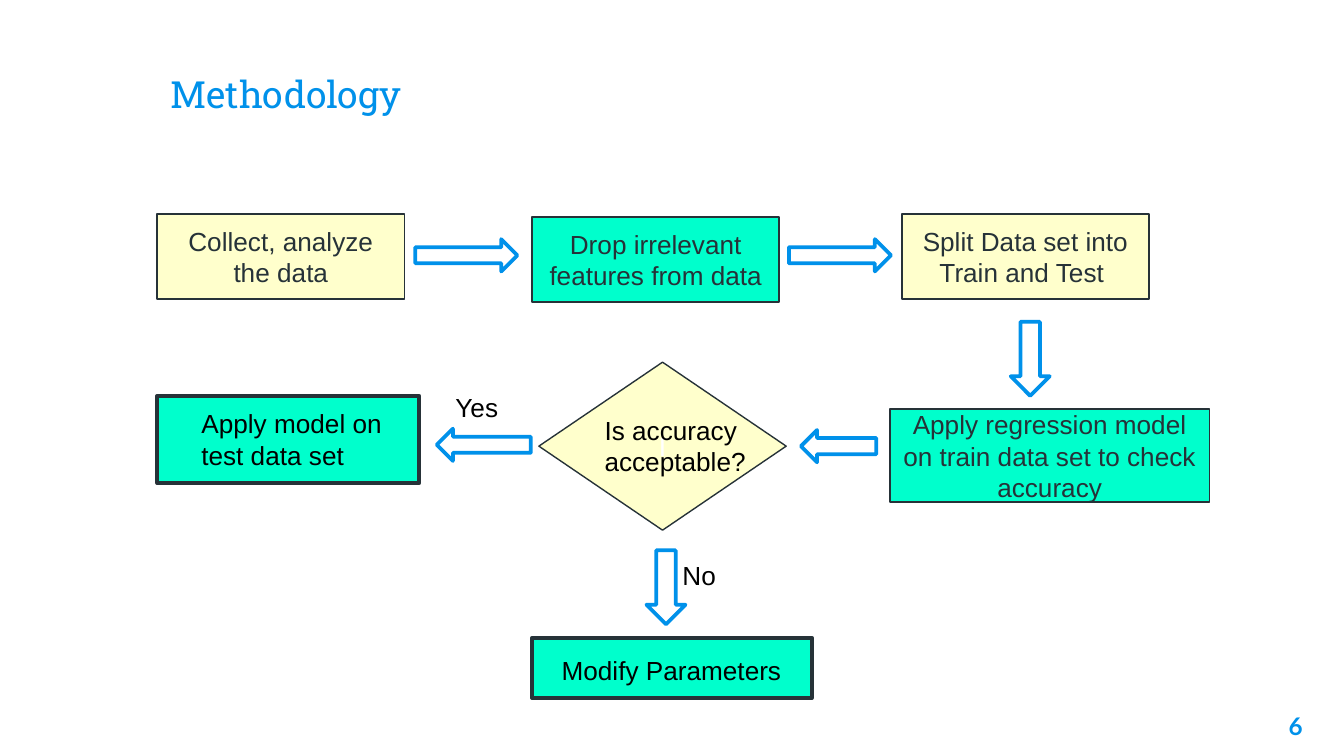
from lxml import etree
from pptx import Presentation
from pptx.dml.color import RGBColor
from pptx.enum.shapes import MSO_SHAPE
from pptx.enum.text import MSO_ANCHOR, PP_ALIGN
from pptx.oxml.ns import qn
from pptx.util import Inches, Pt

RECTANGLE, DIAMOND = MSO_SHAPE.RECTANGLE, MSO_SHAPE.DIAMOND
RIGHT, LEFT, DOWN = MSO_SHAPE.RIGHT_ARROW, MSO_SHAPE.LEFT_ARROW, MSO_SHAPE.DOWN_ARROW
TOP, MIDDLE, BOTTOM = MSO_ANCHOR.TOP, MSO_ANCHOR.MIDDLE, MSO_ANCHOR.BOTTOM
ALIGN_LEFT, ALIGN_CENTER, ALIGN_RIGHT = PP_ALIGN.LEFT, PP_ALIGN.CENTER, PP_ALIGN.RIGHT

BLUE, DARK, BLACK, WHITE = "0091EA", "263238", "000000", "FFFFFF"
CREAM, MINT = "FFFFCC", "00FFCC"

# Left edges of columns and centre lines of rows, in inches.
COLUMNS = [1.17, 3.96, 6.62]
ROWS = {"title": 0.59, "prepare": 1.91, "to model": 2.67, "yes": 3.03, "model": 3.32,
        "no": 4.28, "to tune": 4.37, "tune": 4.97, "footer": 5.41}

# Each place is column, row, shift right, shift down, width, height.
STEPS = [
    ("Collect, analyze the data", RECTANGLE, CREAM, DARK, 1, (0, "prepare", 0, 0, 1.84, 0.63)),
    ("Split Data set into Train and Test ", RECTANGLE, CREAM, DARK, 1,
     (2, "prepare", 0.09, 0, 1.84, 0.63)),
    ("Drop irrelevant features from data", RECTANGLE, MINT, DARK, 1,
     (1, "prepare", 0, 0.02, 1.84, 0.63)),
    ("Apply regression model on train data set to check accuracy", RECTANGLE, MINT, DARK, 1,
     (2, "model", 0, 0.07, 2.38, 0.69)),
    ("I", DIAMOND, CREAM, WHITE, 0.75, (1, "model", 0.05, 0, 1.84, 1.25)),
    ("", RECTANGLE, MINT, DARK, 2, (0, "model", 0, -0.05, 1.95, 0.65)),
    ("", RECTANGLE, MINT, DARK, 2, (1, "tune", 0, 0, 2.08, 0.45)),
]
LABELS = [
    ("Is accuracy acceptable?", (1, "model", 0.44, 0, 1.34, 0.57)),
    ("Yes", (0, "yes", 2.12, 0, 0.59, 0.34)),
    ("No", (1, "no", 1.02, 0, 0.63, 0.34)),
    ("Modify Parameters", (1, "tune", 0.12, 0.02, 1.95, 0.34)),
    ("Apply model on test data set", (0, "model", 0.23, -0.05, 1.56, 0.57)),
]
ARROWS = [
    (RIGHT, (1, "prepare", 1.91, -0.01, 0.76, 0.24)),
    (DOWN, (2, "to model", 0.9, 0, 0.29, 0.55)),
    (RIGHT, (0, "prepare", 1.92, -0.01, 0.76, 0.24)),
    (LEFT, (1, "model", 2, 0, 0.56, 0.24)),
    (LEFT, (0, "model", 2.08, -0.01, 0.7, 0.24)),
    (DOWN, (1, "to tune", 0.85, 0, 0.29, 0.55)),
]


def color(code):
    return RGBColor.from_string(code)


def locate(place):
    column, row, right, down, width, height = place
    left, top = COLUMNS[column] + right, ROWS[row] + down - height / 2
    return [Inches(length) for length in (left, top, width, height)]


def write(box, text, font="Arial", size=14, ink=BLACK, bold=False,
          align=ALIGN_LEFT, anchor=TOP, inset=None):
    frame = box.text_frame
    frame.word_wrap = True
    frame.vertical_anchor = anchor
    if inset is not None:
        frame.margin_left = frame.margin_right = Inches(inset)
        frame.margin_top = frame.margin_bottom = Inches(inset)
    para = frame.paragraphs[0]
    para.alignment = align
    span = para.add_run()
    span.text = text
    span.font.name, span.font.size, span.font.bold = font, Pt(size), bold
    span.font.color.rgb = color(ink)


def add_label(page, text, place, **style):
    write(page.shapes.add_textbox(*locate(place)), text, **style)


def add_outline(page, kind, place, ink, weight, fill=None):
    shape = page.shapes.add_shape(kind, *locate(place))
    shape.shadow.inherit = False
    if fill:
        shape.fill.solid()
        shape.fill.fore_color.rgb = color(fill)
    else:
        shape.fill.background()
    shape.line.color.rgb = color(ink)
    shape.line.width = Pt(weight)
    return shape


def main():
    deck = Presentation()
    deck.slide_width = Inches(10)
    deck.slide_height = deck.slide_width * 9 // 16
    page = deck.slides.add_slide(deck.slide_layouts[6])

    add_label(page, "6", (2, "footer", 2.57, 0, 0.6, 0.43), font="Lato", size=13,
              ink=BLUE, bold=True, align=ALIGN_RIGHT, inset=0.1)
    add_label(page, "Methodology", (0, "title", 0, 0, 6.17, 0.75), font="Roboto Slab",
              size=20, ink=BLUE, anchor=BOTTOM, inset=0.1)
    for text, kind, fill, ink, weight, place in STEPS:
        box = add_outline(page, kind, place, DARK, weight, fill)
        if text:
            write(box, text, ink=ink, align=ALIGN_CENTER, anchor=MIDDLE)
    for text, place in LABELS:
        add_label(page, text, place)
    for kind, place in ARROWS:
        arrow = add_outline(page, kind, place, BLUE, 2)
        etree.SubElement(arrow.element.spPr.find(qn("a:ln")), qn("a:round"))

    deck.save("out.pptx")


if __name__ == "__main__":
    main()
